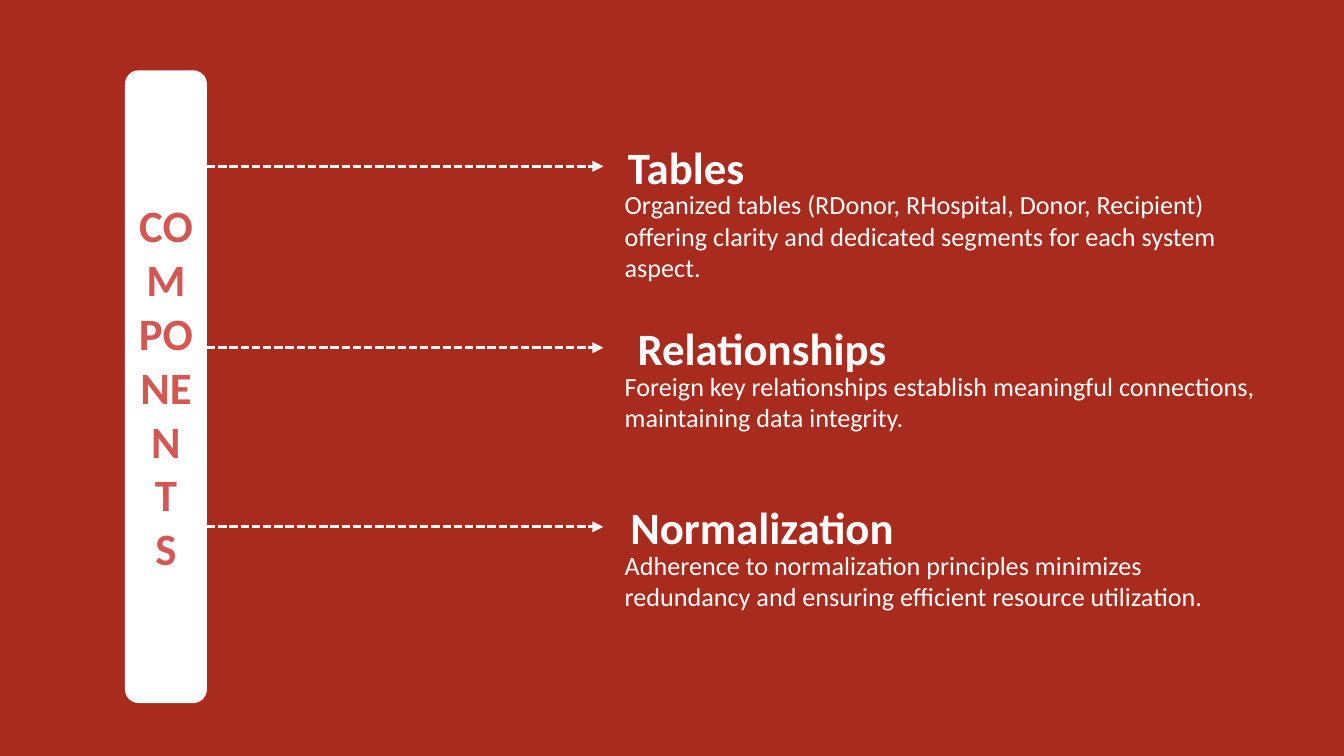
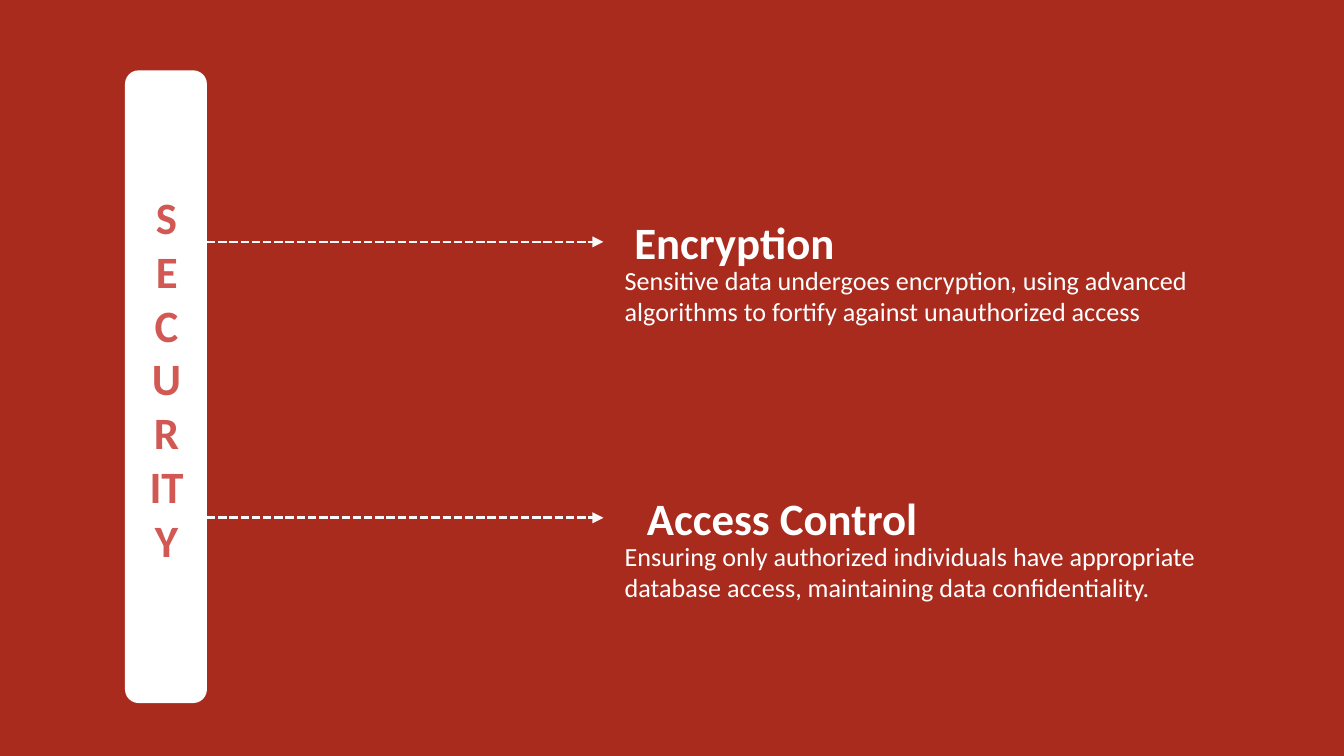
from lxml.etree import SubElement
from pptx import Presentation
from pptx.dml.color import RGBColor
from pptx.enum.dml import MSO_LINE
from pptx.enum.shapes import MSO_CONNECTOR, MSO_SHAPE
from pptx.enum.text import MSO_ANCHOR, MSO_AUTO_SIZE, PP_ALIGN
from pptx.oxml.ns import qn
from pptx.util import Inches, Pt

COLORS = {"background": "A82B1E", "white": "FFFFFF", "arrow": "F9F9F9", "title": "D25853"}
FONT = "Calibri"

presentation = Presentation()
presentation.slide_width = Inches(10)
presentation.slide_height = presentation.slide_width * 9 // 16

# The grid divides the slide into 100 columns and 100 rows.
COLUMN = presentation.slide_width / 100
ROW = presentation.slide_height / 100

BAR_LEFT, BAR_TOP, BAR_WIDTH, BAR_HEIGHT = 9.3, 9.3, 6.1, 83.7
BAR_RIGHT = BAR_LEFT + BAR_WIDTH
ARROW_END = 44.9
HEADING_HEIGHT = 12.2
BODY_LEFT, BODY_WIDTH, BODY_DROP = 45.5, 50, 2.1
BODY_PADDING, BODY_LINE = 1.8, 4.2


def grid_box(left, top, width, height):
    return [round(length) for length in (left * COLUMN, top * ROW, width * COLUMN, height * ROW)]


def add_text(slide, text, box, size, color, heading=True):
    """Add a text box: bold and centred for headings, top left for body text."""
    shape = slide.shapes.add_textbox(*grid_box(*box))
    frame = shape.text_frame
    frame.word_wrap = True
    frame.text = text
    paragraph = frame.paragraphs[0]
    paragraph.font.name = FONT
    paragraph.font.size = Pt(size)
    paragraph.font.bold = heading
    paragraph.font.color.rgb = RGBColor.from_string(COLORS[color])
    if heading:
        frame.vertical_anchor = MSO_ANCHOR.MIDDLE
        frame.margin_top = frame.margin_bottom = Inches(0.1)
        paragraph.alignment = PP_ALIGN.CENTER
    else:
        frame.auto_size = MSO_AUTO_SIZE.SHAPE_TO_FIT_TEXT


# Title, title box, then items: arrow row, heading, heading left and width, body, body lines.
SLIDES = [
    ("COMPONEN\vT\vS", (9.3, 3.2, 6.1, 95.8), [
        (22, "Tables", 40.9, 20.3,
         "Organized tables (RDonor, RHospital, Donor, Recipient) offering clarity "
         "and dedicated segments for each system aspect.", 3),
        (46, "Relationships", 43, 27.4,
         "Foreign key relationships establish meaningful connections, "
         "maintaining data integrity.", 2),
        (69.7, "Normalization", 43, 27.4,
         "Adherence to normalization principles minimizes redundancy "
         "and ensuring efficient resource utilization.", 2),
    ]),
    ("SECURITY", (10.1, 2.1, 4.6, 95.8), [
        (32, "Encryption", 44.5, 20.3,
         "Sensitive data undergoes encryption, using advanced algorithms "
         "to fortify against unauthorized access", 2),
        (68.5, "Access Control", 44.5, 27.4,
         "Ensuring only authorized individuals have appropriate database access, "
         "maintaining data confidentiality.", 2),
    ]),
]

for title, title_box, items in SLIDES:
    slide = presentation.slides.add_slide(presentation.slide_layouts[6])
    slide.background.fill.solid()
    slide.background.fill.fore_color.rgb = RGBColor.from_string(COLORS["background"])

    bar = slide.shapes.add_shape(MSO_SHAPE.ROUNDED_RECTANGLE,
                                 *grid_box(BAR_LEFT, BAR_TOP, BAR_WIDTH, BAR_HEIGHT))
    bar.shadow.inherit = False
    bar.fill.solid()
    bar.fill.fore_color.rgb = RGBColor.from_string(COLORS["white"])
    bar.line.fill.background()
    add_text(slide, title, title_box, 24, "title")

    for row, heading, heading_left, heading_width, body, line_count in items:
        arrow = slide.shapes.add_connector(MSO_CONNECTOR.STRAIGHT,
                                           *grid_box(BAR_RIGHT, row, ARROW_END, row))
        arrow.line.color.rgb = RGBColor.from_string(COLORS["arrow"])
        arrow.line.width = Pt(1.5)
        arrow.line.dash_style = MSO_LINE.SQUARE_DOT
        properties = arrow.element.spPr
        SubElement(properties.find(qn("a:ln")), qn("a:tailEnd"), type="triangle")
        SubElement(properties, qn("a:effectLst"))

        heading_top = row - HEADING_HEIGHT / 2
        add_text(slide, heading, (heading_left, heading_top, heading_width, HEADING_HEIGHT),
                 24, "white")
        body_height = BODY_PADDING + line_count * BODY_LINE
        add_text(slide, body, (BODY_LEFT, row + BODY_DROP, BODY_WIDTH, body_height),
                 14, "white", heading=False)

presentation.save("out.pptx")
